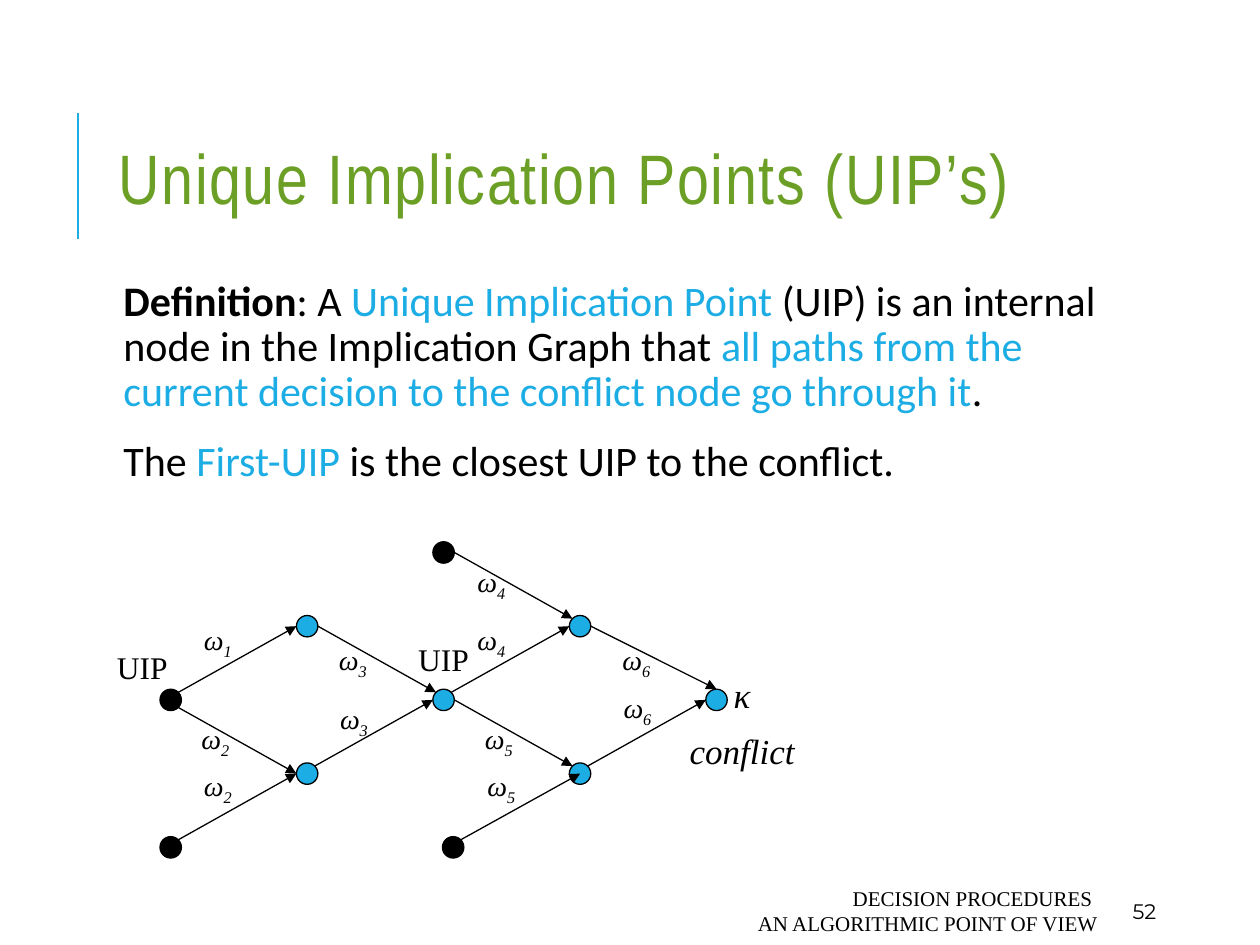
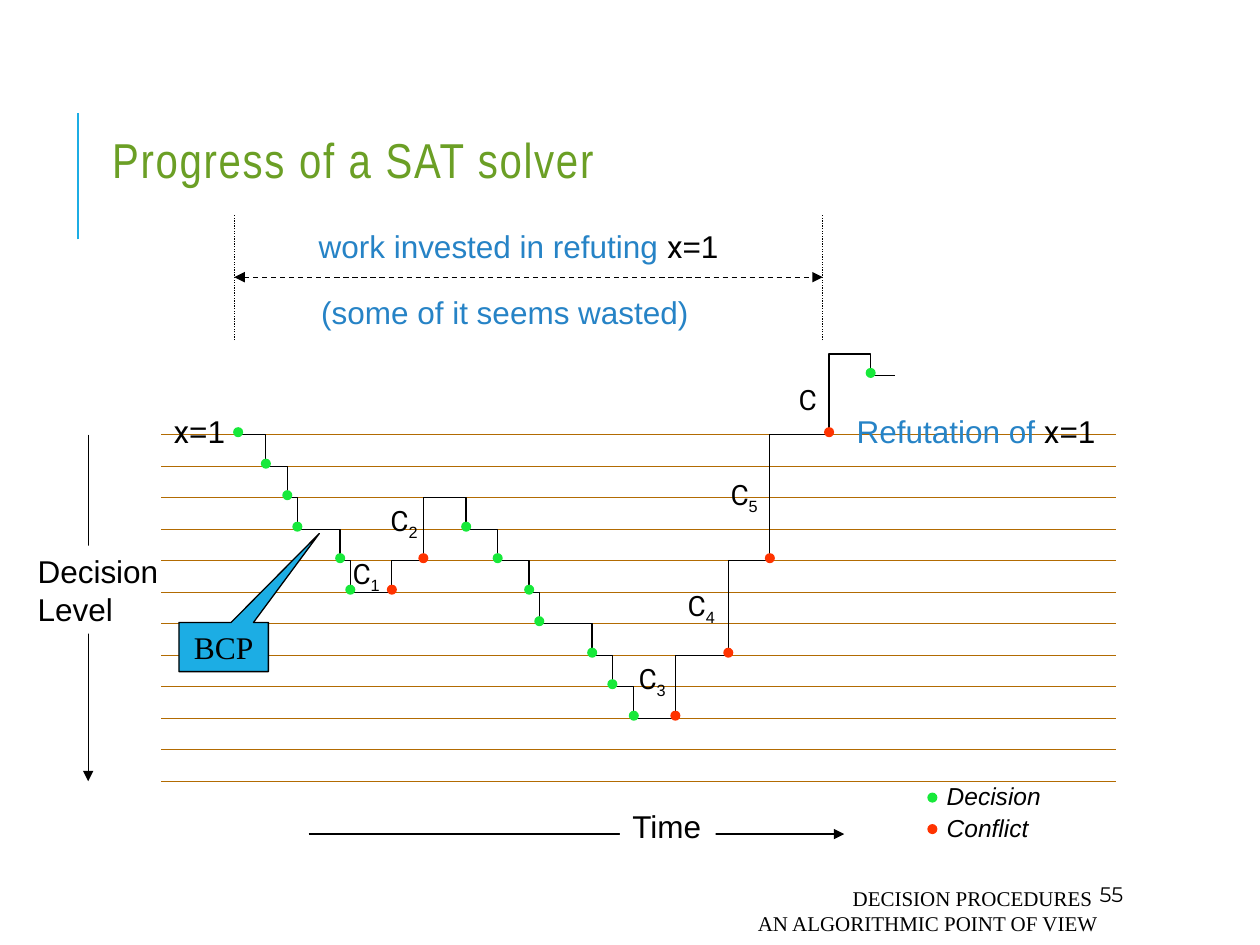
import lxml.etree
import pptx
import pptx.dml.color
import pptx.enum.dml
import pptx.enum.shapes
import pptx.enum.text
import pptx.oxml.ns
import pptx.util

WIDTH = pptx.util.Inches(10)
HEIGHT = pptx.util.Inches(7.5)
CELL = WIDTH / 100  # the slide is a grid of 100 columns by 75 rows

BLACK, WHITE = "000000", "FFFFFF"
ACCENT, TITLE_GREEN, BLUE = "1CADE4", "6B9F25", "2683C6"
DECISION, CONFLICT, LEVEL_LINE = "17E93A", "FF3300", "B26B02"
SERIF, SANS, LETTER = "Times New Roman", "Arial", "Roboto"

ALIGN = pptx.enum.text.PP_ALIGN
ANCHOR = pptx.enum.text.MSO_ANCHOR
SHAPE = pptx.enum.shapes.MSO_SHAPE
DASH = pptx.enum.dml.MSO_LINE


def cells(*values):
    return [round(value * CELL) for value in values]


def rgb(color):
    return pptx.dml.color.RGBColor.from_string(color)


def add_xml(parent, tag, **attributes):
    return lxml.etree.SubElement(parent, pptx.oxml.ns.qn(tag), **attributes)


def write(paragraph, text, size=18, font=SANS, color=BLACK, bold=False,
          italic=False, subscript=False, spacing=0):
    run = paragraph.add_run()
    run.text = text
    run.font.size = pptx.util.Pt(size)
    run.font.name = font
    run.font.color.rgb = rgb(color)
    run.font.bold = bold
    run.font.italic = italic
    properties = run._r.get_or_add_rPr()
    if subscript:
        properties.set("baseline", "-25000")
    if spacing:
        properties.set("spc", str(spacing * 100))


def fill_frame(frame, paragraphs, align=ALIGN.LEFT, **style):
    """Write paragraphs, each a list of (text, format overrides) runs."""
    for index, runs in enumerate(paragraphs):
        paragraph = frame.add_paragraph() if index else frame.paragraphs[0]
        paragraph.alignment = align
        for text, overrides in runs:
            write(paragraph, text, **{**style, **overrides})


def add_text(slide, box, *paragraphs, wrap=False, grow=True, fill=None,
             anchor=ANCHOR.TOP, **style):
    shape = slide.shapes.add_textbox(*cells(*box))
    frame = shape.text_frame
    frame.word_wrap = wrap
    frame.vertical_anchor = anchor
    if grow:
        frame.auto_size = pptx.enum.text.MSO_AUTO_SIZE.SHAPE_TO_FIT_TEXT
    if fill:
        shape.fill.solid()
        shape.fill.fore_color.rgb = rgb(fill)
    lines = [[(item, {})] if isinstance(item, str) else item
             for item in paragraphs]
    fill_frame(frame, lines, **style)
    return shape


def add_line(slide, start, end, color=BLACK, width=0.75, dash=None,
             head=False, tail=False):
    connector = slide.shapes.add_connector(
        pptx.enum.shapes.MSO_CONNECTOR.STRAIGHT, *cells(*start, *end))
    connector.line.color.rgb = rgb(color)
    connector.line.width = pptx.util.Pt(width)
    if dash:
        connector.line.dash_style = dash
    properties = connector.element.spPr
    outline = properties.find(pptx.oxml.ns.qn("a:ln"))
    for tag, wanted in (("a:headEnd", head), ("a:tailEnd", tail)):
        if wanted:
            add_xml(outline, tag, type="triangle")
    add_xml(properties, "a:effectLst")


def add_preset(slide, kind, box, fill, outlined=True):
    shape = slide.shapes.add_shape(kind, *cells(*box))
    shape.shadow.inherit = False
    shape.fill.solid()
    shape.fill.fore_color.rgb = rgb(fill)
    if outlined:
        shape.line.color.rgb = rgb(BLACK)
        shape.line.width = pptx.util.Pt(0.75)
    else:
        shape.line.fill.background()
    return shape


def add_disc(slide, center, size, fill, outlined):
    x, y = center
    box = (x - size / 2, y - size / 2, size, size)
    add_preset(slide, SHAPE.OVAL, box, fill, outlined)


def move(shape, box):
    shape.left, shape.top, shape.width, shape.height = cells(*box)


def add_base_slide(presentation, layout, title, title_box, title_size,
                   title_anchor, number, number_corner):
    """Add a slide with the shared accent line, title style and footer."""
    slide = presentation.slides.add_slide(presentation.slide_layouts[layout])
    add_line(slide, (6.2, 19), (6.2, 9), ACCENT, 1.5)
    move(slide.shapes.title, title_box)
    frame = slide.shapes.title.text_frame
    frame.auto_size = pptx.enum.text.MSO_AUTO_SIZE.NONE
    frame.vertical_anchor = title_anchor
    fill_frame(frame, [[(title, {})]], size=title_size, font="Arial Narrow",
               color=TITLE_GREEN, spacing=1)
    frame.paragraphs[0].line_spacing = 0.8
    footer = {"wrap": True, "grow": False, "anchor": ANCHOR.MIDDLE, "size": 12}
    add_text(slide, (39.7, 70.8, 48.4, 3),
             "DECISION PROCEDURES ", "AN ALGORITHMIC POINT OF VIEW",
             align=ALIGN.RIGHT, font=SERIF, **footer)
    add_text(slide, (*number_corner, 8, 3), number, font="Montserrat", **footer)
    return slide


def add_definition(slide):
    body = slide.placeholders[1]
    move(body, (8.3, 21.7, 79.7, 44))
    frame = body.text_frame
    frame.auto_size = pptx.enum.text.MSO_AUTO_SIZE.NONE
    frame.margin_left = frame.margin_right = pptx.util.Inches(0.05)
    frame.margin_top = frame.margin_bottom = pptx.util.Inches(0.05)
    accent = {"color": ACCENT}
    fill_frame(frame, [
        [("Definition", {"bold": True}), (": A ", {}),
         ("Unique Implication Point", accent),
         (" (UIP) is an internal node in the Implication Graph that ", {}),
         ("all paths from the current decision to the conflict node "
          "go through it", accent), (".", {})],
        [("The ", {}), ("First-UIP ", accent),
         ("is the closest UIP to the conflict.", {})],
    ], size=24, font="Calibri")
    indent = round(CELL)
    for paragraph in frame.paragraphs:
        paragraph.line_spacing = 0.9
        paragraph.space_before = pptx.util.Pt(12)
        paragraph.space_after = pptx.util.Pt(2)
        properties = paragraph._p.get_or_add_pPr()
        properties.set("marL", str(indent))
        properties.set("indent", str(-indent))
        add_xml(add_xml(properties, "a:buClr"), "a:srgbClr", val=ACCENT)
        add_xml(properties, "a:buChar", char=" ")


# Implication graph: node name -> (column, row, colour)
NODES = {
    "uip": (0, 2, BLACK), "low left": (0, 4, BLACK),
    "upper": (1, 1, ACCENT), "lower": (1, 3, ACCENT),
    "top": (2, 0, BLACK), "first uip": (2, 2, ACCENT),
    "low middle": (2.07, 4, BLACK),
    "upper right": (3, 1, ACCENT), "lower right": (3, 3, ACCENT),
    "conflict": (4, 2, ACCENT),
}
# Offsets from a node's centre at which an edge starts or ends
SITES = {"C": (0, 0), "N": (0, -0.85), "E": (0.85, 0), "W": (-0.85, 0),
         "NE": (0.6, -0.6), "SE": (0.6, 0.6), "NW": (-0.6, -0.6)}
# Start node and site, end node and site, clause number, label corner
EDGES = [
    ("uip", "NE", "upper", "W", "1", (15.2, 48.9)),
    ("uip", "SE", "lower", "W", "2", (15, 56.8)),
    ("low left", "NE", "lower", "W", "2", (15.2, 60.5)),
    ("upper", "E", "first uip", "NW", "3", (25.9, 50.5)),
    ("lower", "NE", "first uip", "W", "3", (26, 55.2)),
    ("top", "E", "upper right", "NW", "4", (36.9, 44.3)),
    ("first uip", "NE", "upper right", "W", "4", (36.9, 48.9)),
    ("first uip", "E", "lower right", "NW", "5", (37.5, 56.8)),
    ("low middle", "NE", "lower right", "C", "5", (37.7, 60.5)),
    ("upper right", "E", "conflict", "N", "6", (48.4, 50.5)),
    ("lower right", "NE", "conflict", "W", "6", (48.5, 54.3)),
]


def node_point(name, site="C"):
    column, row, _ = NODES[name]
    dx, dy = SITES[site]
    return 13.55 + 10.83 * column + dx, 43.85 + 5.85 * row + dy


def add_implication_graph(slide):
    for name, (_, _, color) in NODES.items():
        add_disc(slide, node_point(name), 1.7, color, True)
    for start, start_site, end, end_site, clause, corner in EDGES:
        add_line(slide, node_point(start, start_site),
                 node_point(end, end_site), tail=True)
        add_text(slide, (*corner, 5.2, 3.7),
                 [("ω", {}), (clause, {"subscript": True})],
                 wrap=True, size=16, font=SERIF, italic=True)
    for corner in ((32.2, 50.3), (8.3, 50.9)):
        add_text(slide, (*corner, 6, 4), "UIP", font=SERIF, align=ALIGN.RIGHT)
    label = add_text(slide, (53.5, 53, 10.8, 8.7), "κ", "conflict", wrap=True,
                     size=20, font=SERIF, italic=True, align=ALIGN.CENTER)
    label.text_frame.paragraphs[1].space_before = pptx.util.Pt(8)


# Solver run: at each column the solver jumps to the given decision level
RUN_START, RUN_END = 18.6, 71
JUMPS = [(21.1, 1), (22.8, 2), (23.6, 3), (27, 4), (27.8, 5), (31.1, 4),
         (33.6, 2), (37, 3), (39.5, 4), (42, 5), (42.8, 6), (47, 7),
         (48.6, 8), (50.3, 9), (53.6, 7), (57.8, 4), (61.1, 0),
         (65.8, -2.56), (69.1, -1.88)]


def level_row(level):
    return 34.5 + 2.5 * level


def add_dot(slide, center, color):
    add_disc(slide, center, 0.8, color, False)


def add_solver_run(slide):
    """Draw the staircase, then a dot at the deeper end of each jump."""
    points, dots, level = [], [(RUN_START + 0.3, 0, DECISION)], 0
    for column, target in JUMPS:
        points += [(column, level_row(level)), (column, level_row(target))]
        color = DECISION if target > level else CONFLICT
        dots.append((column, max(level, target), color))
        level = target
    points.append((RUN_END, level_row(level)))
    builder = slide.shapes.build_freeform(*cells(RUN_START, level_row(0)))
    builder.add_line_segments([cells(*point) for point in points], close=False)
    staircase = builder.convert_to_shape()
    staircase.shadow.inherit = False
    staircase.fill.background()
    staircase.line.color.rgb = rgb(BLACK)
    staircase.line.width = pptx.util.Pt(0.75)
    for column, depth, color in dots:
        add_dot(slide, (column, level_row(depth) - 0.2), color)


def add_axes(slide):
    add_line(slide, (7, level_row(0)), (7, level_row(11)), tail=True)
    add_text(slide, (2, 43.3, 12.3, 7), "Decision", "Level", fill=WHITE)
    for level in range(12):
        row = level_row(level)
        add_line(slide, (12.8, row), (88.6, row), LEVEL_LINE, 0.25)
    add_line(slide, (24.5, 66.2), (67, 66.2), tail=True)
    add_text(slide, (49.2, 63.6, 7.6, 4), "Time", fill=WHITE)


def add_run_labels(slide):
    x_is_one = [("x", {"font": LETTER, "color": BLACK}), ("=1", {"color": BLACK})]
    for column in (RUN_START, 65.3):
        add_line(slide, (column, 27), (column, 17), dash=DASH.ROUND_DOT)
    add_line(slide, (RUN_START, 22), (65.3, 22), dash=DASH.DASH,
             head=True, tail=True)
    add_text(slide, (24.3, 17.5, 33.9, 4),
             [("work invested in refuting ", {}), *x_is_one], color=BLUE)
    add_text(slide, (24.5, 22.8, 31.2, 4), "(some of it seems wasted)", color=BLUE)
    add_text(slide, (12.8, 32.2, 6.3, 4), x_is_one)
    add_text(slide, (67, 32.2, 21.1, 4),
             [("Refutation of ", {}), *x_is_one], color=BLUE)
    clauses = {"1": (27, 43.7), "2": (30, 39.5), "3": (49.7, 52),
               "4": (53.6, 46.2), "5": (57, 37.4)}
    for number, corner in clauses.items():
        add_text(slide, (*corner, 4.4, 3.7),
                 [("C", {"font": LETTER}), (number, {"subscript": True})], size=16)
    add_text(slide, (62.4, 29.9, 3.6, 3.7), "C", size=16, font=LETTER)
    callout = add_preset(slide, SHAPE.RECTANGULAR_CALLOUT,
                         (14.2, 49.4, 7.1, 3.9), ACCENT)
    callout.adjustments[0], callout.adjustments[1] = 1.07, -2.31
    callout.text_frame.word_wrap = False
    fill_frame(callout.text_frame, [[("BCP", {})]], ALIGN.CENTER, font=SERIF)


def add_legend(slide):
    entries = (("Decision", DECISION, 9.5), ("Conflict", CONFLICT, 8.5))
    for index, (text, color, width) in enumerate(entries):
        row = 63.3 + 2.5 * index
        add_dot(slide, (74, row), color)
        add_text(slide, (74.15, row - 1.8, width, 3.3), text, size=14, italic=True)


def main():
    presentation = pptx.Presentation()
    presentation.slide_width, presentation.slide_height = WIDTH, HEIGHT

    points = add_base_slide(
        presentation, 1, "Unique Implication Points (UIP’s)",
        (8.4, 6.4, 79.7, 16.4), 40, ANCHOR.MIDDLE, "52", (88.9, 70.8))
    add_definition(points)
    add_implication_graph(points)

    progress = add_base_slide(
        presentation, 5, "Progress of a SAT solver",
        (7.9, 9.9, 82.5, 5.5), 28, ANCHOR.BOTTOM, "55", (86.3, 69.5))
    add_axes(progress)
    add_solver_run(progress)
    add_run_labels(progress)
    add_legend(progress)

    presentation.save("out.pptx")


if __name__ == "__main__":
    main()
